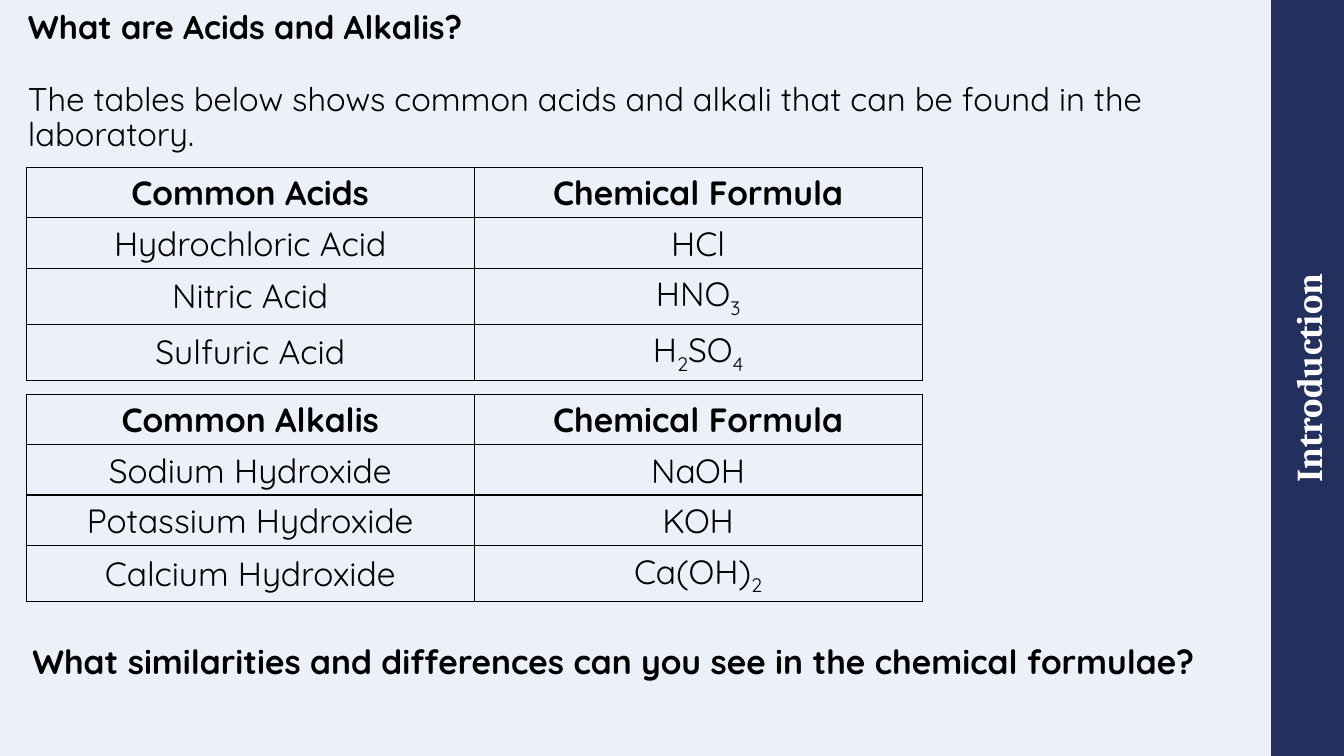
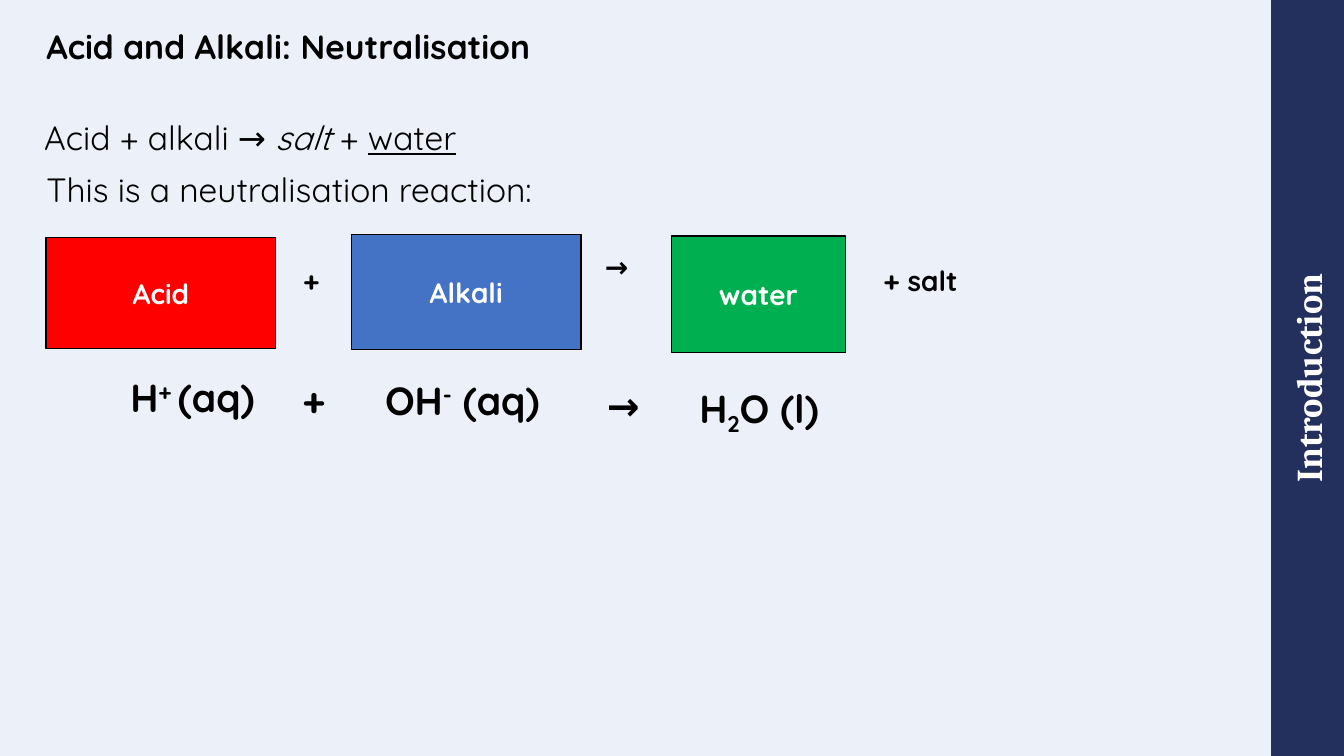
"""Build two chemistry slides on acids, alkalis and neutralisation."""
from dataclasses import dataclass

from lxml.etree import SubElement
from pptx import Presentation
from pptx.dml.color import RGBColor
from pptx.enum.shapes import MSO_SHAPE
from pptx.enum.text import MSO_ANCHOR, MSO_AUTO_SIZE, PP_ALIGN
from pptx.oxml.ns import qn
from pptx.util import Pt


@dataclass(frozen=True)
class Theme:
    text_font: str = "Quicksand"
    band_font: str = "Cambria"
    background: str = "ECF1F9"
    band: str = "232F5D"
    ink: str = "000000"
    white: str = "FFFFFF"
    acid: str = "FF0000"
    alkali: str = "4472C4"
    water: str = "00B050"
    heading_size: float = 23.4
    body_size: float = 24
    word_size: float = 20
    ion_size: float = 28
    band_size: float = 26


@dataclass(frozen=True)
class Run:
    text: str
    baseline: int = 0
    italic: bool = False
    underline: bool = False


@dataclass(frozen=True)
class Label:
    runs: tuple[Run, ...]
    left: float
    top: float
    width: float
    height: float
    size: float
    bold: bool = True
    wrap: bool = True
    align: PP_ALIGN = PP_ALIGN.LEFT
    spacing: float = 1.0


@dataclass(frozen=True)
class Box:
    text: str
    left: float
    top: float
    width: float
    height: float
    fill: str


THEME = Theme()
WIDTH, HEIGHT, BAND = 960, 540, 52
COLUMN, ROW = 320, 36
TABLE_LEFT = 18.7


def plain(text: str) -> tuple[Run, ...]:
    return (Run(text),)


def sub(text: str) -> Run:
    return Run(text, -25)


def sup(text: str) -> Run:
    return Run(text, 30)


ACIDS = (
    (plain("Common Acids"), plain("Chemical Formula")),
    (plain("Hydrochloric Acid"), plain("HCl")),
    (plain("Nitric Acid"), (Run("HNO"), sub("3"))),
    (plain("Sulfuric Acid"), (Run("H"), sub("2"), Run("SO"), sub("4"))),
)
ALKALIS = (
    (plain("Common Alkalis"), plain("Chemical Formula")),
    (plain("Sodium Hydroxide"), plain("NaOH")),
    (plain("Potassium Hydroxide"), plain("KOH")),
    (plain("Calcium Hydroxide"), (Run("Ca(OH)"), sub("2"))),
)
QUESTION = Label(
    plain("What similarities and differences can you see in the chemical formulae?"),
    -10, 454.3, 896, 36, THEME.body_size, align=PP_ALIGN.CENTER)
INTRO = (
    Label(plain("Acid and Alkali: Neutralisation"), 26, 15, 870, 36, THEME.body_size),
    Label((Run("Acid + alkali → "), Run("salt", italic=True), Run(" + "),
           Run("water", underline=True)),
          24.5, 65.5, 553, 45, THEME.body_size, bold=False, spacing=1.5),
    Label(plain("This is a neutralisation reaction:"), 26, 117.4, 629, 36,
          THEME.body_size, bold=False),
)
BOXES = (
    Box("Acid", 33, 169.8, 164, 79.2, THEME.acid),
    Box("Alkali", 251, 167.6, 164, 82, THEME.alkali),
    Box("water", 479.5, 168.6, 124.5, 83.3, THEME.water),
)
WORDS = (
    Label(plain("+"), 209.5, 185, 26.6, 31.5, THEME.word_size, wrap=False),
    Label(plain("→"), 425, 174.3, 34.6, 31.5, THEME.word_size, wrap=False),
    Label(plain("+ salt"), 624, 185, 289, 31.5, THEME.word_size),
)
IONS = (
    Label((Run("H"), sup("+ "), Run("(aq)")), 86, 263, 109.4, 41, THEME.ion_size, wrap=False),
    Label(plain("+"), 209, 265, 31.7, 41, THEME.ion_size, wrap=False),
    Label((Run("OH"), sup("-"), Run(" (aq)")), 268, 265, 132.5, 41, THEME.ion_size, wrap=False),
    Label(plain("→"), 426.5, 268.6, 72, 41, THEME.ion_size),
    Label((Run("H"), sub("2"), Run("O (l)")), 492.5, 270.7, 131.8, 41, THEME.ion_size),
)


def style(p, size: float, bold: bool, color: str = THEME.ink,
          font: str = THEME.text_font) -> None:
    for r in p.runs:
        r.font.size, r.font.bold, r.font.name = Pt(size), bold, font
        r.font.color.rgb = RGBColor.from_string(color)


def write(p, runs: tuple[Run, ...], size: float, bold: bool) -> None:
    for run in runs:
        r = p.add_run()
        r.text = run.text
        if run.italic:
            r.font.italic = True
        if run.underline:
            r.font.underline = True
        if run.baseline:
            r._r.get_or_add_rPr().set("baseline", str(run.baseline * 1000))
    style(p, size, bold)


def clear_margins(tf) -> None:
    tf.margin_left = tf.margin_right = tf.margin_top = tf.margin_bottom = 0


def add_label(shapes, label: Label) -> None:
    sp = shapes.add_textbox(Pt(label.left), Pt(label.top), Pt(label.width), Pt(label.height))
    tf = sp.text_frame
    tf.word_wrap = label.wrap
    tf.auto_size = MSO_AUTO_SIZE.SHAPE_TO_FIT_TEXT
    p = tf.paragraphs[0]
    p.alignment = label.align
    p.line_spacing = label.spacing
    write(p, label.runs, label.size, label.bold)


def add_box(shapes, box: Box):
    sp = shapes.add_shape(MSO_SHAPE.RECTANGLE, Pt(box.left), Pt(box.top),
                          Pt(box.width), Pt(box.height))
    sp.shadow.inherit = False
    sp.fill.solid()
    sp.fill.fore_color.rgb = RGBColor.from_string(box.fill)
    sp.line.color.rgb = RGBColor.from_string(THEME.ink)
    sp.line.width = Pt(1)
    tf = sp.text_frame
    tf.text = box.text
    tf.vertical_anchor = MSO_ANCHOR.MIDDLE
    p = tf.paragraphs[0]
    p.alignment = PP_ALIGN.CENTER
    style(p, THEME.word_size, True, THEME.white)
    return sp


def add_borders(cell) -> None:
    tc_pr = cell._tc.get_or_add_tcPr()
    for side in ("a:lnL", "a:lnR", "a:lnT", "a:lnB"):
        ln = SubElement(tc_pr, qn(side), w=str(Pt(1)))
        fill = SubElement(ln, qn("a:solidFill"))
        SubElement(fill, qn("a:srgbClr"), val=THEME.ink)


def add_formula_table(s, rows, top: float) -> None:
    table = s.shapes.add_table(len(rows), 2, Pt(TABLE_LEFT), Pt(top),
                               Pt(2 * COLUMN), Pt(ROW * len(rows))).table
    table.first_row = table.horz_banding = False
    for i, row in enumerate(rows):
        for j, runs in enumerate(row):
            cell = table.cell(i, j)
            cell.vertical_anchor = MSO_ANCHOR.MIDDLE
            add_borders(cell)
            cell.fill.background()
            p = cell.text_frame.paragraphs[0]
            p.alignment = PP_ALIGN.CENTER
            write(p, runs, THEME.body_size, i == 0)


def add_slide(prs):
    s = prs.slides.add_slide(prs.slide_layouts[6])
    band = Box("Introduction", WIDTH - BAND / 2 - HEIGHT / 2, (HEIGHT - BAND) / 2,
               HEIGHT, BAND, THEME.band)
    sp = add_box(s.shapes, band)
    sp.line.fill.background()
    sp.rotation = 270
    clear_margins(sp.text_frame)
    style(sp.text_frame.paragraphs[0], THEME.band_size, True, THEME.white, THEME.band_font)
    return s


def add_opening(s) -> None:
    tf = s.shapes.add_textbox(Pt(20), Pt(5), Pt(836), Pt(105)).text_frame
    tf.text = ("What are Acids and Alkalis?\nThe tables below shows common acids "
               "and alkali that can be found in the laboratory.")
    tf.word_wrap = True
    tf.vertical_anchor = MSO_ANCHOR.BOTTOM
    clear_margins(tf)
    for p, bold in zip(tf.paragraphs, (True, False)):
        p.line_spacing = 0.9
        style(p, THEME.heading_size, bold)
    tf.paragraphs[0].space_after = Pt(26)


def build_formulae(prs) -> None:
    s = add_slide(prs)
    add_opening(s)
    add_formula_table(s, ACIDS, 119.5)
    add_formula_table(s, ALKALIS, 281.5)
    add_label(s.shapes, QUESTION)


def build_neutralisation(prs) -> None:
    s = add_slide(prs)
    for label in INTRO:
        add_label(s.shapes, label)
    equation = s.shapes.add_group_shape()
    for box in BOXES:
        add_box(equation.shapes, box)
    for label in WORDS:
        add_label(equation.shapes, label)
    for label in IONS:
        add_label(s.shapes, label)


def main() -> None:
    prs = Presentation()
    prs.slide_width, prs.slide_height = Pt(WIDTH), Pt(HEIGHT)
    fill = prs.slide_master.background.fill
    fill.solid()
    fill.fore_color.rgb = RGBColor.from_string(THEME.background)
    build_formulae(prs)
    build_neutralisation(prs)
    prs.save("out.pptx")


if __name__ == "__main__":
    main()
